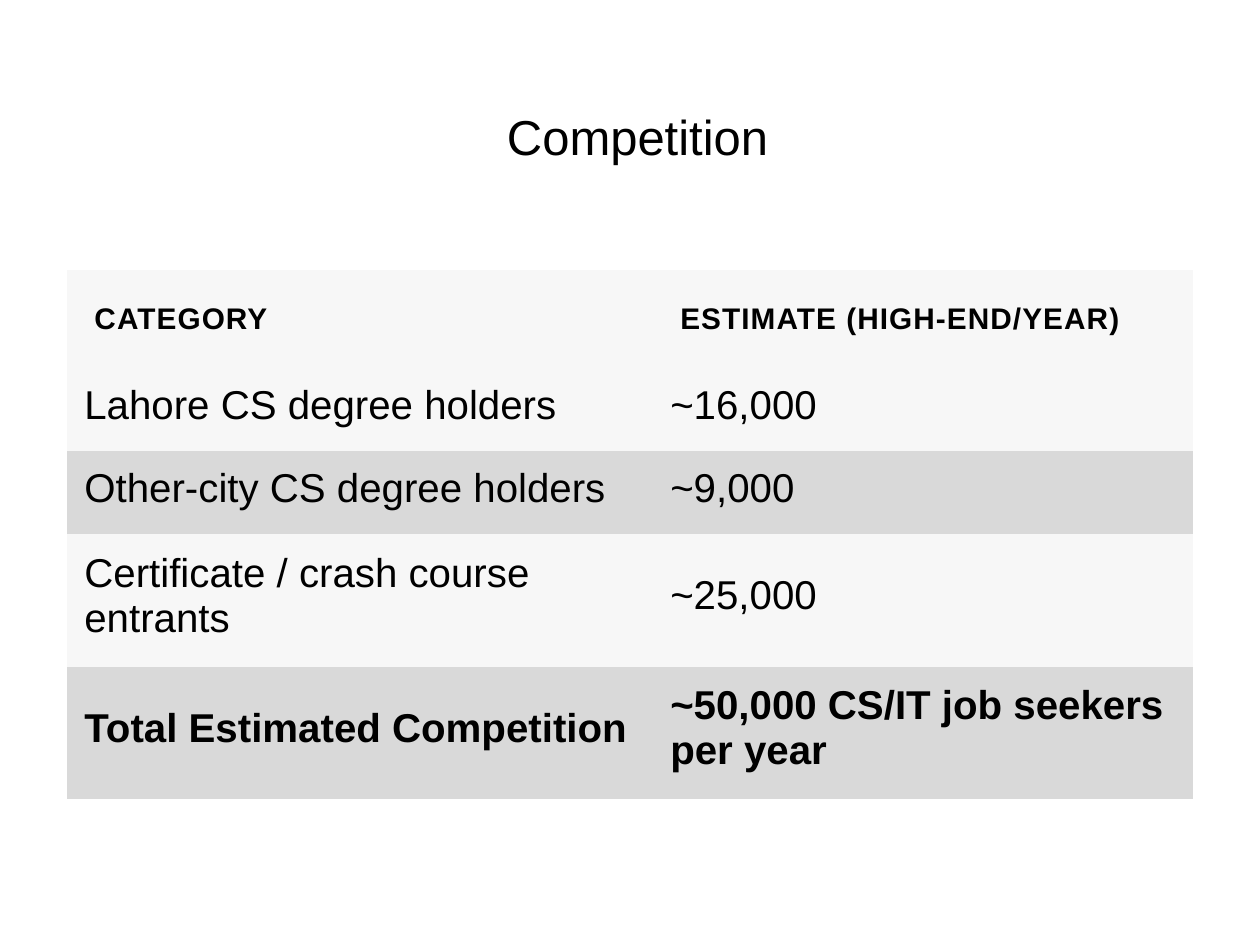
from pptx import Presentation
from pptx.dml.color import RGBColor
from pptx.enum.text import MSO_ANCHOR, PP_ALIGN
from pptx.util import Inches, Pt

MIDDLE = MSO_ANCHOR.MIDDLE
CENTER = PP_ALIGN.CENTER
COLORS = {"text": "000000", "light": "F7F7F7", "band": "D9D9D9"}

COLUMNS = [4.65, 4.29]
ROWS = [0.78, 0.66, 0.66, 1.05, 1.05]
ENTRIES = [
    ("CATEGORY", "ESTIMATE (HIGH-END/YEAR)"),
    ("Lahore CS degree holders", "~16,000"),
    ("Other-city CS degree holders", "~9,000"),
    ("Certificate / crash course entrants", "~25,000"),
    ("Total Estimated Competition", "~50,000 CS/IT job seekers per year"),
]
HEADER_MARGINS = {side: Inches(0.22) for side in
                  ("margin_left", "margin_top", "margin_right", "margin_bottom")}
BODY_MARGINS = {"margin_left": Inches(0.14), "margin_top": Inches(0.07),
                "margin_right": Inches(0.14), "margin_bottom": Inches(0.14)}


def add_span(para, text, size, bold=False):
    span = para.add_run()
    span.text = text
    for name, value in {"name": "Arial", "size": Pt(size), "bold": bold}.items():
        setattr(span.font, name, value)
    span.font.color.rgb = RGBColor.from_string(COLORS["text"])
    return span


deck = Presentation()
deck.slide_width, deck.slide_height = Inches(10), Inches(7.5)
page = deck.slides.add_slide(deck.slide_layouts[6])

# Title
title = page.shapes.add_textbox(Inches(0.46), Inches(0.7), Inches(9.2), Inches(0.81))
title.text_frame.word_wrap = True
title.text_frame.vertical_anchor = MIDDLE
para = title.text_frame.paragraphs[0]
para.alignment = CENTER
para.line_spacing = 0.9
add_span(para, "Competition", 28)

# Competition table
table = page.shapes.add_table(len(ROWS), len(COLUMNS), Inches(0.53), Inches(2.14),
                              Inches(sum(COLUMNS)), Inches(sum(ROWS))).table
table.first_row = table.horz_banding = False
for column, width in zip(table.columns, COLUMNS):
    column.width = Inches(width)

for index, (height, entry) in enumerate(zip(ROWS, ENTRIES)):
    table.rows[index].height = Inches(height)
    header = index == 0
    total = index == len(ROWS) - 1
    shade = "band" if index and index % 2 == 0 else "light"
    cell_format = {"vertical_anchor": MIDDLE,
                   **(HEADER_MARGINS if header else BODY_MARGINS)}
    for cell, text in zip(table.rows[index].cells, entry):
        for name, value in cell_format.items():
            setattr(cell, name, value)
        cell.fill.solid()
        cell.fill.fore_color.rgb = RGBColor.from_string(COLORS[shade])
        span = add_span(cell.text_frame.paragraphs[0], text,
                        17 if header else 23, header or total)
        if header:
            # Letter spacing, in hundredths of a point
            span._r.get_or_add_rPr().set("spc", "60")

# Plain table style without grid lines
style = table._tbl.tblPr.find("{*}tableStyleId")
style.text = "{2D5ABB26-0587-4C30-8999-92F81FD0307C}"

deck.save("out.pptx")
